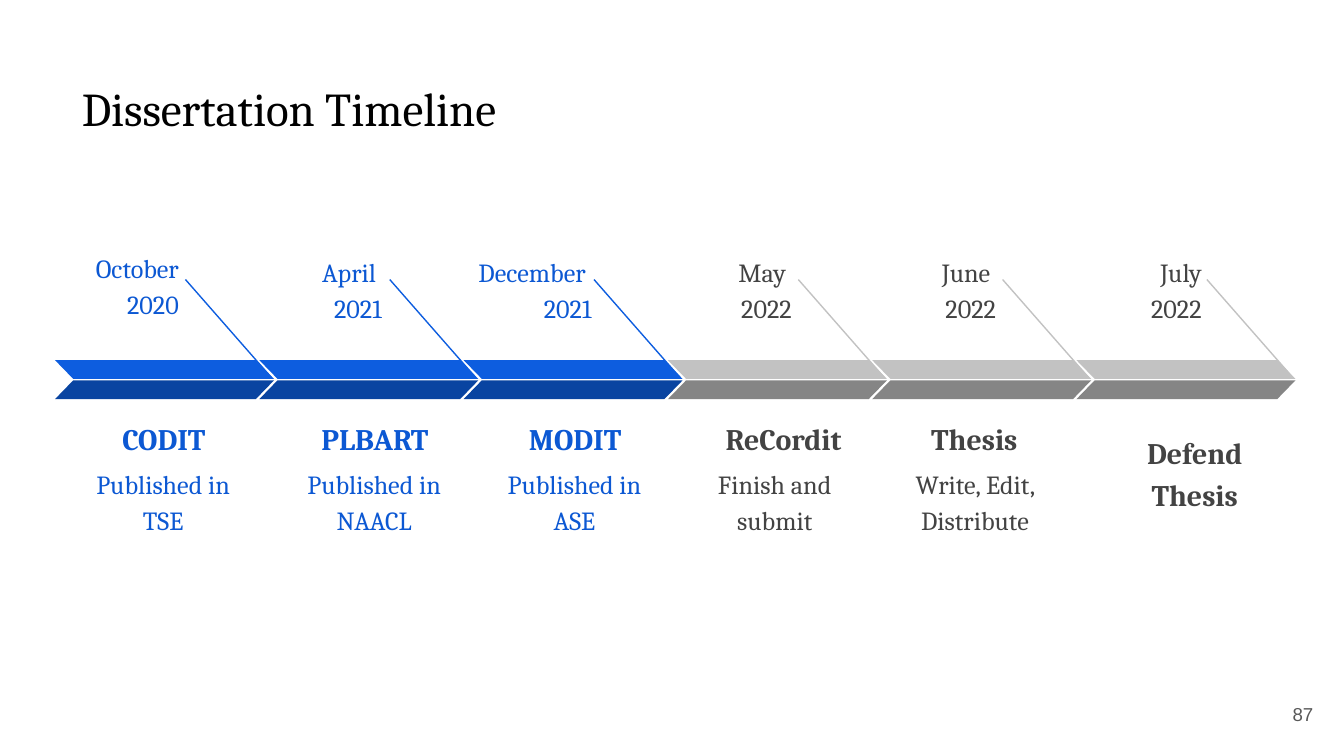
from copy import deepcopy

from lxml import etree
from pptx import Presentation
from pptx.dml.color import RGBColor
from pptx.enum.shapes import MSO_CONNECTOR, MSO_SHAPE
from pptx.enum.text import MSO_ANCHOR, PP_ALIGN
from pptx.oxml.ns import qn
from pptx.util import Inches, Pt

LEFT, CENTER, RIGHT = PP_ALIGN.LEFT, PP_ALIGN.CENTER, PP_ALIGN.RIGHT
TOP, MIDDLE, BOTTOM = MSO_ANCHOR.TOP, MSO_ANCHOR.MIDDLE, MSO_ANCHOR.BOTTOM
STRAIGHT = MSO_CONNECTOR.STRAIGHT
PARALLELOGRAM = MSO_SHAPE.PARALLELOGRAM

DONE = {"text": "0C58D3", "upper": "0D5DDF", "lower": "0944A1"}
PLANNED = {"text": "434343", "upper": "C2C2C2", "lower": "858585"}

START, PITCH = 0.41, 1.52
BAND_W, BAND_H = 1.63, 0.14

STEPS = [
    (DONE, "October 2020", (0.53, 1.74, 0.9, 0.54),
     "CODIT", (0.55, 3.06, 1.34, 0.44), "Published in TSE", 0.53),
    (DONE, "April \v2021", (2.04, 1.77, 0.9, 0.54),
     "PLBART", (2.12, 3.06, 1.34, 0.44), "Published in NAACL", 2.1),
    (DONE, "December \v2021", (3.39, 1.77, 1.11, 0.54),
     "MODIT", (3.61, 3.06, 1.34, 0.44), "Published in ASE", 3.59),
    (PLANNED, "May \v2022", (5.09, 1.77, 0.9, 0.54),
     "ReCordit", (5.09, 3.06, 1.48, 0.44), "Finish and submit", 5.08),
    (PLANNED, "June \v2022", (6.61, 1.77, 0.9, 0.54),
     "Thesis", (6.51, 3.06, 1.48, 0.44), "Write, Edit, Distribute", 6.57),
    (PLANNED, "July 2022", (8.14, 1.77, 0.9, 0.54),
     "Defend\nThesis", (8.15, 3.47, 1.48, 0.44), None, None),
]


def rgb(color):
    """Turn a hex string into a colour."""
    return RGBColor.from_string(color)


def add_text(slide, text, box, size, color, align=LEFT, anchor=TOP,
             font="Cambria", bold=False, spacing=None, after=None):
    """Add a wrapped text box with one paragraph for each line of text."""
    tf = slide.shapes.add_textbox(*map(Inches, box)).text_frame
    frame_format = {"word_wrap": True, "vertical_anchor": anchor}
    for side in ("left", "top", "right", "bottom"):
        frame_format[f"margin_{side}"] = Inches(0.1)
    for name, value in frame_format.items():
        setattr(tf, name, value)
    for i, line in enumerate(text.split("\n")):
        p = tf.add_paragraph() if i else tf.paragraphs[0]
        p.text = line
        p.alignment, p.line_spacing, p.space_after = align, spacing, after
        for r in p.runs:
            for name, value in {"size": Pt(size), "name": font, "bold": bold}.items():
                setattr(r.font, name, value)
            r.font.color.rgb = rgb(color)
        for line_break in p._p.findall(qn("a:br")):
            line_break.insert(0, deepcopy(p.runs[0]._r.rPr))


def add_band(slide, left, top, color, flipped=False):
    """Add one slanted half of a timeline arrow."""
    s = slide.shapes.add_shape(PARALLELOGRAM, Inches(left), Inches(top),
                               Inches(BAND_W), Inches(BAND_H))
    s.adjustments[0] = 0.97
    s.shadow.inherit = False
    s.fill.solid()
    s.fill.fore_color.rgb = rgb(color)
    s.line.fill.background()
    if flipped:
        s._element.spPr.xfrm.set("flipH", "1")


def add_leader(slide, left, color):
    """Add the slanted line from a date to the tip of its arrow."""
    ends = (left + 0.97, 2.08, left + 1.61, 2.81)
    line = slide.shapes.add_connector(STRAIGHT, *map(Inches, ends))
    line.line.color.rgb = rgb(color)
    line.line.width = Pt(0.75)
    etree.SubElement(line._element.spPr, qn("a:effectLst"))


def add_step(slide, left, colors, date, date_box, heading, heading_box,
             detail, detail_left):
    """Add one timeline step with its arrow, date, heading and detail."""
    add_leader(slide, left, colors["upper"])
    add_band(slide, left, 2.68, colors["upper"], flipped=True)
    add_band(slide, left, 2.83, colors["lower"])
    add_text(slide, date, date_box, 14, colors["text"], RIGHT,
             spacing=1.15, after=Pt(16))
    add_text(slide, heading, heading_box, 16, colors["text"], CENTER, BOTTOM,
             bold=True, spacing=1.15)
    if detail:
        add_text(slide, detail, (detail_left, 3.35, 1.37, 0.72), 14,
                 colors["text"], CENTER, spacing=1.15, after=Pt(16))


def main():
    """Build and save the timeline slide."""
    prs = Presentation()
    prs.slide_width, prs.slide_height = Inches(10), Inches(10) * 9 // 16
    slide = prs.slides.add_slide(prs.slide_layouts[6])
    add_text(slide, "87", (9.27, 5.1, 0.6, 0.43), 10, "595959", RIGHT, MIDDLE,
             font="Arial")
    add_text(slide, "Dissertation Timeline", (0.51, 0.49, 9.32, 0.63), 25.2,
             "000000")
    for i, step in enumerate(STEPS):
        add_step(slide, START + i * PITCH, *step)
    prs.save("out.pptx")


if __name__ == "__main__":
    main()
